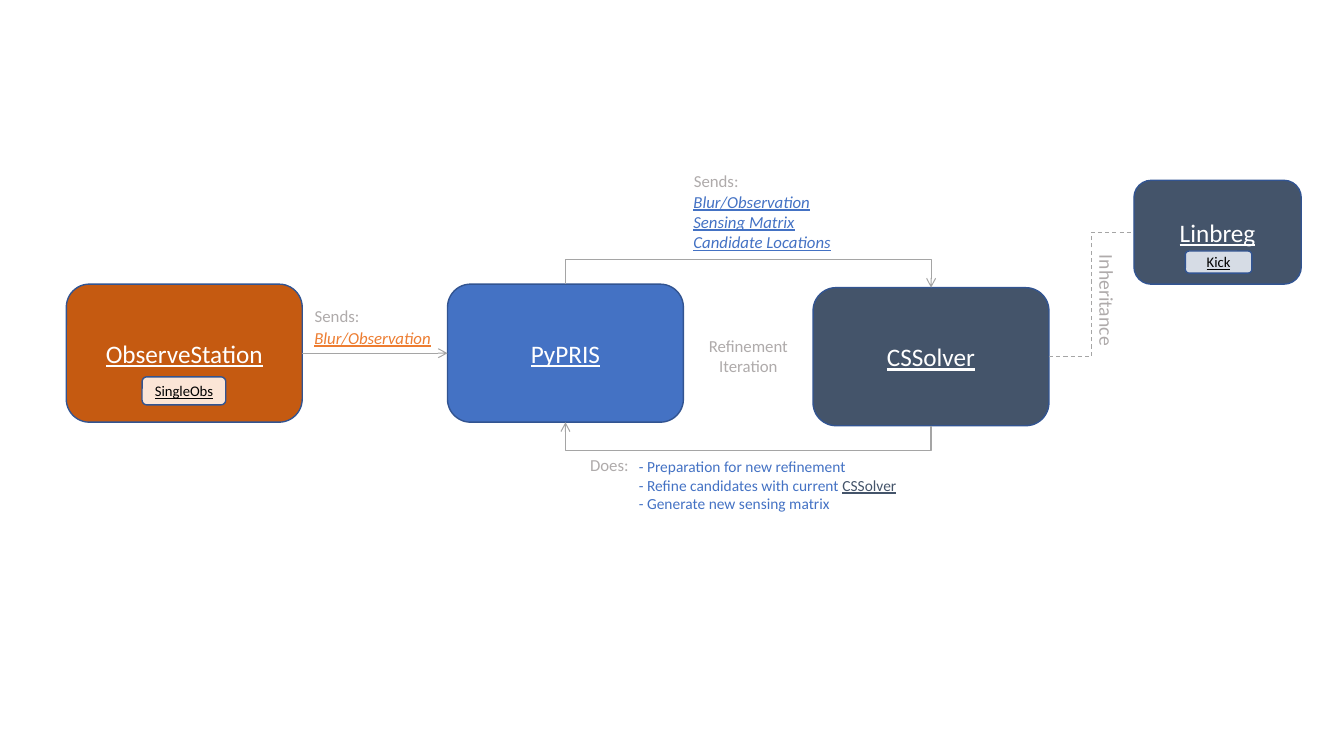
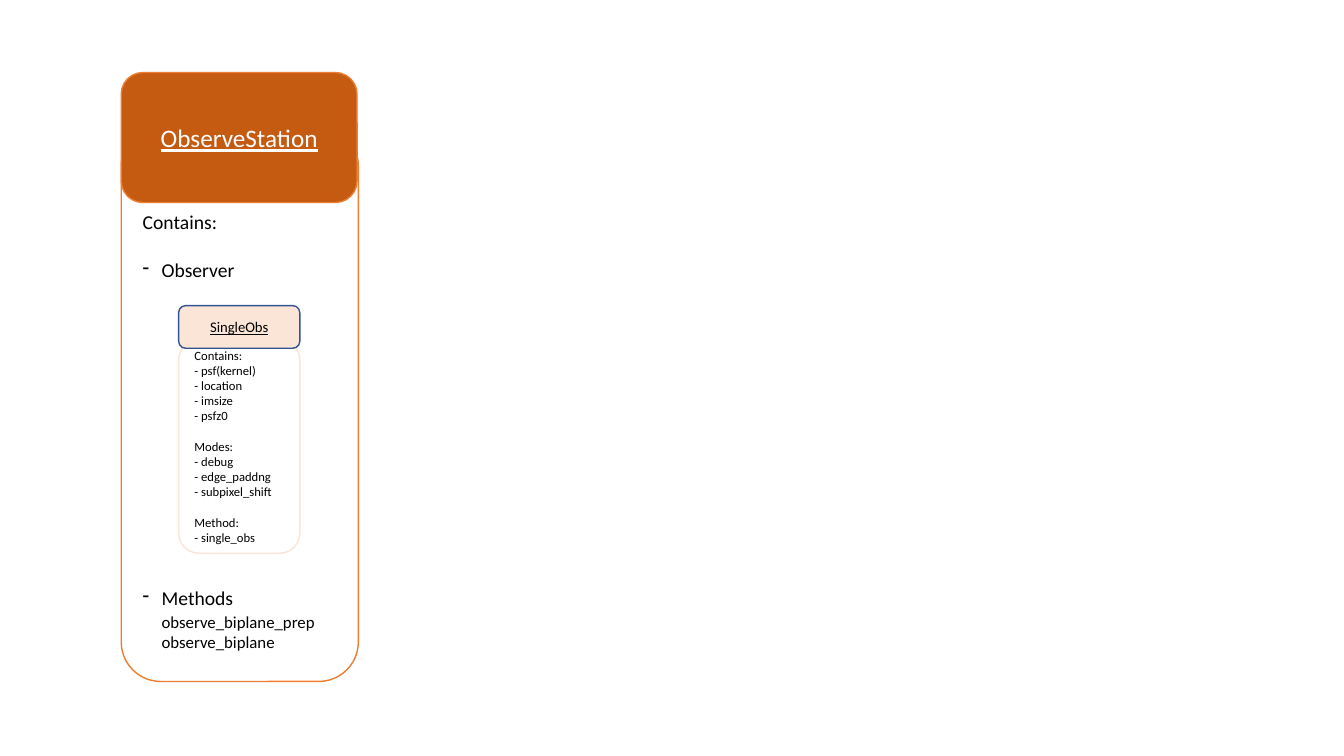
from dataclasses import dataclass, replace

from lxml import etree
from pptx import Presentation
from pptx.dml.color import RGBColor
from pptx.enum.dml import MSO_LINE_DASH_STYLE as Dash
from pptx.enum.shapes import MSO_CONNECTOR as Link, MSO_SHAPE as Preset
from pptx.enum.text import MSO_ANCHOR as Anchor, PP_ALIGN as Align
from pptx.oxml.ns import qn
from pptx.util import Pt

FONT = "Calibri"
WHITE, BLACK = "FFFFFF", "000000"
BLUE, SLATE, NAVY = "4472C4", "44546A", "325491"
ORANGE, RUST, PEACH, MIST = "ED7D31", "C55A11", "FBE5D6", "D6DCE5"
GREY, CAPTION = "A5A5A5", "AFABAB"
CARD_WIDTH, CARD_HEIGHT = 168.5, 98.6
LOOP_CLEARANCE = 18


@dataclass(frozen=True)
class Line:
    text: str
    size: float
    color: str
    underline: bool = False
    italic: bool = False
    before: float = 0
    indent: float = 0
    bullet: bool = False
    reference: str = ""


@dataclass(frozen=True)
class Box:
    left: float
    top: float
    width: float
    height: float
    fill: str
    outline: str
    lines: tuple[Line, ...]
    centered: bool = True
    text_top: float | None = None


@dataclass(frozen=True)
class Label:
    left: float
    top: float
    width: float
    height: float
    lines: tuple[Line, ...]
    centered: bool = False
    wrap: bool = True
    vertical: bool = False


def rgb(color: str) -> RGBColor:
    return RGBColor.from_string(color)


def write_lines(frame, lines: tuple[Line, ...], centered: bool) -> None:
    for index, line in enumerate(lines):
        paragraph = frame.add_paragraph() if index else frame.paragraphs[0]
        paragraph.alignment = Align.CENTER if centered else Align.LEFT
        paragraph.space_before = Pt(line.before)
        font = paragraph.font
        font.name, font.size = FONT, Pt(line.size)
        font.color.rgb = rgb(line.color)
        font.underline, font.italic = line.underline, line.italic
        paragraph.add_run().text = line.text
        if line.reference:
            reference = paragraph.add_run()
            reference.text = line.reference
            reference.font.color.rgb = rgb(SLATE)
            reference.font.underline = True
        if line.indent:
            properties = paragraph._p.get_or_add_pPr()
            properties.set("marL", str(Pt(line.indent)))
            if line.bullet:
                properties.set("indent", str(-Pt(line.indent)))
                mark = etree.Element(qn("a:buChar"), char="-")
                properties.find(qn("a:defRPr")).addprevious(mark)


def draw_box(shapes, box: Box) -> None:
    shape = shapes.add_shape(Preset.ROUNDED_RECTANGLE, Pt(box.left), Pt(box.top),
                             Pt(box.width), Pt(box.height))
    shape.shadow.inherit = False
    shape.fill.solid()
    shape.fill.fore_color.rgb = rgb(box.fill)
    shape.line.color.rgb = rgb(box.outline)
    shape.line.width = Pt(1)
    frame = shape.text_frame
    frame.word_wrap = True
    frame.vertical_anchor = Anchor.MIDDLE
    if box.text_top is not None:
        frame.vertical_anchor = Anchor.TOP
        frame.margin_top = Pt(box.text_top)
    write_lines(frame, box.lines, box.centered)


def draw_label(shapes, label: Label) -> None:
    frame = shapes.add_textbox(Pt(label.left), Pt(label.top),
                               Pt(label.width), Pt(label.height)).text_frame
    frame.word_wrap = label.wrap
    if label.vertical:
        frame._txBody.bodyPr.set("vert", "eaVert")
    write_lines(frame, label.lines, label.centered)


def draw_link(shapes, kind: Link, start: tuple[float, float],
              end: tuple[float, float], arrow: bool = True):
    link = shapes.add_connector(kind, *map(Pt, start + end))
    link.line.color.rgb = rgb(GREY)
    link.line.width = Pt(0.75)
    if arrow:
        etree.SubElement(link.line._get_or_add_ln(), qn("a:tailEnd"), type="arrow")
    else:
        link.line.dash_style = Dash.DASH
    etree.SubElement(link._element.spPr, qn("a:effectLst"))
    return link


def draw_loop(shapes, start: tuple[float, float], end: tuple[float, float]) -> None:
    center_x, center_y = (start[0] + end[0]) / 2, (start[1] + end[1]) / 2
    half_span, half_step = abs(end[0] - start[0]) / 2, abs(end[1] - start[1]) / 2
    link = draw_link(shapes, Link.ELBOW,
                     (center_x + half_step, center_y - half_span),
                     (center_x - half_step, center_y + half_span))
    properties = link._element.spPr
    turn = 270 if start[0] < end[0] else 90
    properties.find(qn("a:xfrm")).set("rot", str(turn * 60000))
    guides = properties.find(qn("a:prstGeom")).get_or_add_avLst()
    bend = round(-LOOP_CLEARANCE / (2 * half_step) * 100000)
    etree.SubElement(guides, qn("a:gd"), name="adj1", fmla=f"val {bend}")


def class_name(text: str) -> tuple[Line, ...]:
    return (Line(text, 18, WHITE, underline=True),)


def part_name(text: str) -> tuple[Line, ...]:
    return (Line(text, 10.5, BLACK, underline=True),)


def caption(text: str, size: float = 12) -> Line:
    return Line(text, size, CAPTION)


def payload(color: str, *texts: str) -> tuple[Line, ...]:
    return tuple(Line(text, 12, color, underline=True, italic=True) for text in texts)


def listing(title: str, *entries: str, before: float = 0) -> tuple[Line, ...]:
    heading = Line(title, 9, BLACK, before=before)
    return heading, *(replace(heading, text=f"- {entry}", before=0) for entry in entries)


def build_overview(shapes) -> None:
    classes = (
        Box(319.7, 203, CARD_WIDTH, CARD_HEIGHT, BLUE, NAVY, class_name("PyPRIS")),
        Box(580.8, 205.5, CARD_WIDTH, CARD_HEIGHT, SLATE, NAVY, class_name("CSSolver")),
        Box(810, 128.8, 119.5, 74.2, SLATE, NAVY, class_name("Linbreg")),
        Box(47.4, 203, CARD_WIDTH, CARD_HEIGHT, RUST, NAVY, class_name("ObserveStation")),
        Box(101.5, 269.2, 59.8, 20, PEACH, NAVY, part_name("SingleObs")),
        Box(846.7, 179.3, 47.5, 15.8, MIST, NAVY, part_name("Kick")),
    )
    for box in classes:
        draw_box(shapes, box)

    pypris, solver, linbreg, station = classes[:4]
    pypris_x = pypris.left + CARD_WIDTH / 2
    solver_x = solver.left + CARD_WIDTH / 2
    flow_y = pypris.top + CARD_HEIGHT / 2
    draw_link(shapes, Link.STRAIGHT, (station.left + CARD_WIDTH, flow_y),
              (pypris.left, flow_y))
    draw_loop(shapes, (pypris_x, pypris.top), (solver_x, solver.top))
    draw_loop(shapes, (solver_x, solver.top + CARD_HEIGHT),
              (pypris_x, pypris.top + CARD_HEIGHT))
    draw_link(shapes, Link.ELBOW,
              (solver.left + CARD_WIDTH, solver.top + CARD_HEIGHT / 2),
              (linbreg.left, linbreg.top + linbreg.height / 2), arrow=False)

    tasks = (
        Line("- Preparation for new refinement", 11, BLUE),
        Line("- Refine candidates with current ", 11, BLUE, reference="CSSolver"),
        Line("- Generate new sensing matrix", 11, BLUE),
    )
    labels = (
        Label(217.4, 230.4, 133.2, 21.6, payload(ORANGE, "Blur/Observation")),
        Label(488.2, 133.2, 123.1, 51.1,
              payload(BLUE, "Blur/Observation", "Sensing Matrix", "Candidate Locations")),
        Label(449.3, 323.3, 201.6, 47.5, tasks),
        Label(497.5, 236.2, 74.2, 36, (caption("Refinement"), caption("Iteration")),
              centered=True, wrap=False),
        Label(771.1, 175, 31.7, 72.7, (caption("Inheritance", 14),),
              wrap=False, vertical=True),
        Label(217.4, 214.6, 46.8, 21.6, (caption("Sends:"),), centered=True, wrap=False),
        Label(488.2, 118.1, 46.8, 21.6, (caption("Sends:"),), centered=True, wrap=False),
        Label(414, 321.1, 42.5, 21.6, (caption("Does:"),), centered=True, wrap=False),
    )
    for label in labels:
        draw_label(shapes, label)


def build_station(shapes) -> None:
    contents = (
        Line("Contains:", 14, BLACK),
        Line("Observer", 14, BLACK, before=17, indent=13.5, bullet=True),
        Line("Methods", 14, BLACK, before=217.5, indent=13.5, bullet=True),
        Line("observe_biplane_prep", 12, BLACK, before=2, indent=13.5),
        Line("observe_biplane", 12, BLACK, indent=13.5),
    )
    draw_box(shapes, Box(86.6, 90, 169.4, 396.8, WHITE, ORANGE, contents,
                         centered=False, text_top=52))
    draw_box(shapes, Box(86.6, 51.8, CARD_WIDTH, 92.9, RUST, ORANGE,
                         class_name("ObserveStation")))

    members = (
        *listing("Contains:", "psf(kernel)", "location", "imsize", "psfz0"),
        *listing("Modes:", "debug", "edge_paddng", "subpixel_shift", before=11),
        *listing("Method:", "single_obs", before=11),
    )
    observer = shapes.add_group_shape().shapes
    draw_box(observer, Box(127.6, 242.6, 86.6, 152.6, WHITE, PEACH, members,
                           centered=False))
    draw_box(observer, Box(127.6, 218.3, 86.6, 30.5, PEACH, NAVY, part_name("SingleObs")))


def main() -> None:
    deck = Presentation()
    deck.slide_width, deck.slide_height = Pt(960), Pt(540)
    for build in (build_overview, build_station):
        build(deck.slides.add_slide(deck.slide_layouts[6]).shapes)
    deck.save("out.pptx")


main()
